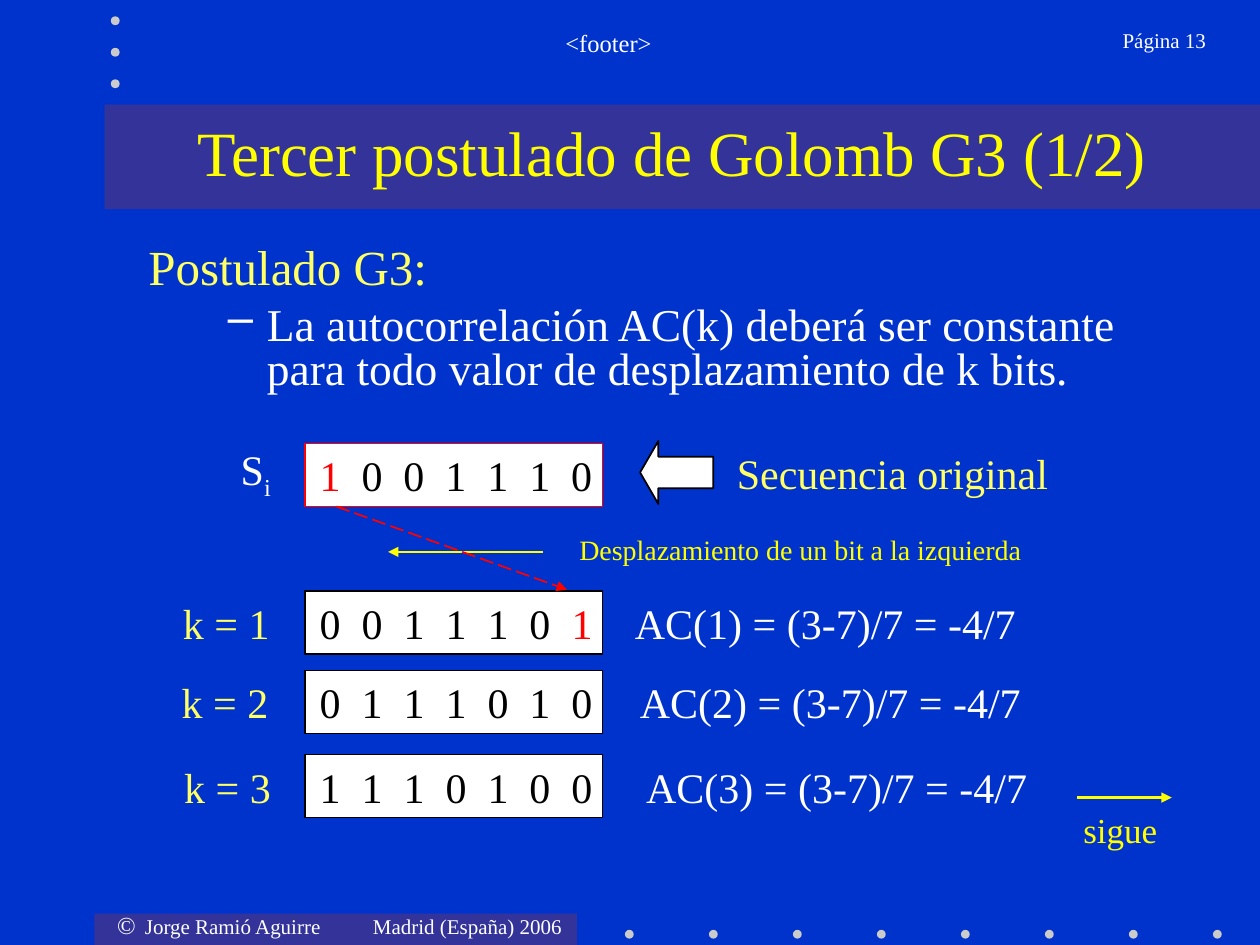
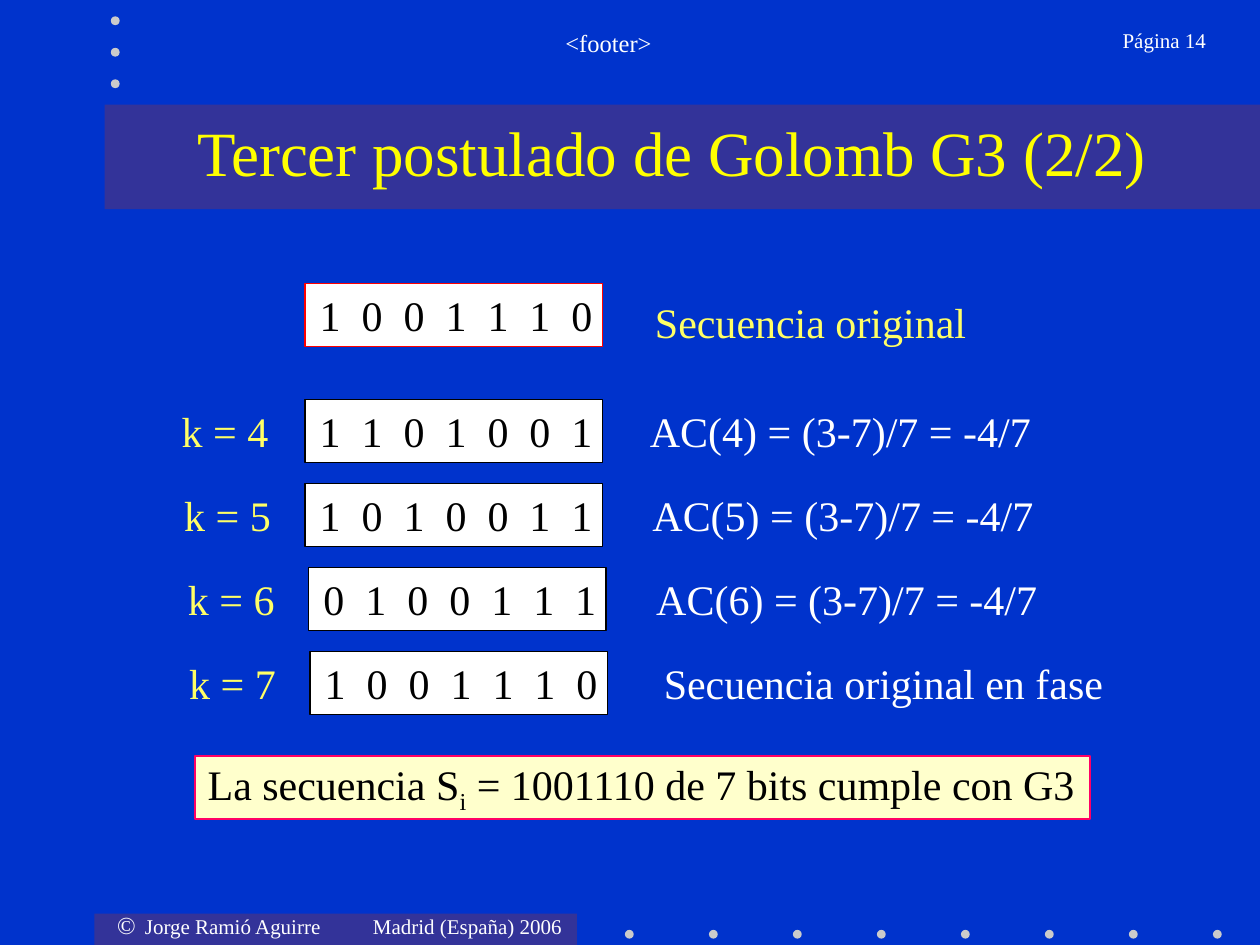
from lxml import etree
from pptx import Presentation
from pptx.dml.color import RGBColor
from pptx.enum import dml, shapes, text
from pptx.oxml import ns
from pptx.util import Inches, Pt

BLUE = RGBColor(0x00, 0x33, 0xCC)
INDIGO = RGBColor(0x33, 0x33, 0x99)
GRAY = RGBColor(0xCB, 0xCB, 0xCB)
WHITE = RGBColor(0xFF, 0xFF, 0xFF)
BLACK = RGBColor(0x00, 0x00, 0x00)
YELLOW = RGBColor(0xFF, 0xFF, 0x00)
LEMON = RGBColor(0xFF, 0xFF, 0x66)
CREAM = RGBColor(0xFF, 0xFF, 0xCC)
RED = RGBColor(0xFF, 0x00, 0x00)
PINK = RGBColor(0xFF, 0x00, 0x66)

FONT = "Times New Roman"
LEFT, CENTER, RIGHT = text.PP_ALIGN.LEFT, text.PP_ALIGN.CENTER, text.PP_ALIGN.RIGHT
TOP, MIDDLE = text.MSO_ANCHOR.TOP, text.MSO_ANCHOR.MIDDLE
RECT, OVAL = shapes.MSO_SHAPE.RECTANGLE, shapes.MSO_SHAPE.OVAL

SEQUENCE = "1001110"
ROW_HEIGHT = 0.5
BITS_WIDTH = 2.36


def add_xml(parent, tag, **attributes):
    return etree.SubElement(parent, ns.qn(tag), attributes)


class Deck:
    """Holds the common style and the slide being built."""

    def __init__(self):
        self.prs = Presentation()
        self.prs.slide_width, self.prs.slide_height = Inches(10), Inches(7.5)
        background = self.prs.slide_master.background.fill
        background.solid()
        background.fore_color.rgb = BLUE
        self.slide = None

    def new_slide(self, heading, page):
        layout = self.prs.slide_layouts.get_by_name("Title Only")
        self.slide = self.prs.slides.add_slide(layout)
        self.shape(RECT, 0.75, 7.25, 3.83, 0.25, INDIGO)
        self.shape(RECT, 0.83, 0.83, 9.17, 0.83, INDIGO)
        for i in range(8):
            self.dot(4.96 + i * 2 / 3, 7.38)
        for i in range(3):
            self.dot(0.88, 0.13 + i * 0.25)
        self.credit()
        self.label("<footer>", 1.58, 0.17, 6.5, 0.5, 14, WHITE, CENTER)
        self.label(f"Página {page}", 8.3, 0.17, 1.37, 0.5, 12, WHITE, RIGHT)

        title = self.slide.shapes.title
        title.left, title.top = Inches(0.83), Inches(0.83)
        title.width, title.height = Inches(9), Inches(0.75)
        self.set_text(title, [heading], 36, YELLOW, CENTER, MIDDLE)
        title.element.getparent().append(title.element)  # in front of its band

    def font(self, paragraph, size, color):
        paragraph.font.name = FONT
        paragraph.font.size = Pt(size)
        paragraph.font.color.rgb = color

    def set_text(self, shape, parts, size, color, align=LEFT, anchor=TOP, wrap=True):
        """Fill the first paragraph with parts and return its runs."""
        frame = shape.text_frame
        frame.auto_size = text.MSO_AUTO_SIZE.NONE
        frame.word_wrap = wrap
        frame.vertical_anchor = anchor
        paragraph = frame.paragraphs[0]
        paragraph.alignment = align
        self.font(paragraph, size, color)
        runs = [paragraph.add_run() for _ in parts]
        for run, part in zip(runs, parts):
            run.text = part
        return runs

    def shape(self, kind, x, y, w, h, fill, line=None, line_width=0.75):
        shape = self.slide.shapes.add_shape(kind, Inches(x), Inches(y), Inches(w), Inches(h))
        shape.shadow.inherit = False
        shape.fill.solid()
        shape.fill.fore_color.rgb = fill
        if line is None:
            shape.line.fill.background()
        else:
            shape.line.color.rgb = line
            shape.line.width = Pt(line_width)
        return shape

    def dot(self, x, y):
        self.shape(OVAL, x, y, 0.07, 0.07, GRAY)

    def box(self, x, y, w, h):
        return self.slide.shapes.add_textbox(Inches(x), Inches(y), Inches(w), Inches(h))

    def label(self, words, x, y, w, h, size, color, align=LEFT, anchor=TOP, wrap=True):
        self.set_text(self.box(x, y, w, h), [words], size, color, align, anchor, wrap)

    def credit(self):
        credit = self.box(0.72, 7.17, 3.95, 0.34)
        credit.text_frame.margin_left = Inches(0.21)
        properties = credit.text_frame.paragraphs[0]._p.get_or_add_pPr()
        tabs = add_xml(properties, "a:tabLst")
        for stop in (0.22, 2.03):
            add_xml(tabs, "a:tab", pos=str(Inches(stop)), algn="l")
        parts = ["©", "\tJorge Ramió Aguirre\tMadrid (España) 2006"]
        symbol, _ = self.set_text(credit, parts, 12, WHITE)
        symbol.font.size = Pt(14)

    def subscript(self, run):
        run._r.get_or_add_rPr().set("baseline", "-25000")

    def bits(self, x, y, bits, line=BLACK, red_bit=None):
        """Draw a framed bit sequence; red_bit is the index of a highlighted bit."""
        frame = self.shape(RECT, x, y, BITS_WIDTH, ROW_HEIGHT, WHITE, line)
        frame.text_frame.margin_left = Inches(0.14)  # balances the last bit's spacing
        spaced = " ".join(bits)
        parts = [spaced]
        if red_bit == 0:
            parts = [spaced[0], spaced[1:]]
        elif red_bit is not None:
            parts = [spaced[:2 * red_bit], spaced[2 * red_bit:]]
        runs = self.set_text(frame, parts, 24, BLACK, CENTER, MIDDLE, wrap=False)
        for run in runs:
            run._r.get_or_add_rPr().set("spc", "300")
        if red_bit is not None:
            runs[0 if red_bit == 0 else 1].font.color.rgb = RED

    def shift_row(self, k, y, label_x, bits_x, result_x, result=None, red_bit=None):
        """Draw the sequence rotated k bits to the left, with its autocorrelation."""
        self.label(f"k = {k}", label_x, y, 0.89, ROW_HEIGHT, 24, LEMON, CENTER, MIDDLE, False)
        self.bits(bits_x, y, SEQUENCE[k:] + SEQUENCE[:k], red_bit=red_bit)
        result = result or f"AC({k}) = (3-7)/7 = -4/7"
        self.label(result, result_x, y, 3.9, ROW_HEIGHT, 24, WHITE, LEFT, MIDDLE)

    def arrow(self, start, end, color, width, dash=None):
        arrow = self.slide.shapes.add_connector(
            shapes.MSO_CONNECTOR.STRAIGHT, *map(Inches, (*start, *end)))
        arrow.line.color.rgb = color
        arrow.line.width = Pt(width)
        if dash:
            arrow.line.dash_style = dash
        add_xml(arrow.line._get_or_add_ln(), "a:tailEnd", type="triangle")
        add_xml(arrow.element.spPr, "a:effectLst")

    def postulate(self, heading, statement):
        box = self.box(1.08, 1.92, 8.17, 1.33)
        self.set_text(box, [heading], 28, LEMON)
        first = box.text_frame.paragraphs[0]
        first.line_spacing = 0.8
        item = box.text_frame.add_paragraph()
        item.text = statement
        item.level = 1
        item.line_spacing = 0.8
        item.space_before = Pt(6.5)
        properties = item._p.get_or_add_pPr()
        properties.set("marL", str(Inches(0.94)))
        properties.set("indent", str(Inches(-0.31)))
        add_xml(properties, "a:buChar", char="–")
        self.font(item, 26, WHITE)


def build_first(deck):
    deck.new_slide("Tercer postulado de Golomb G3 (1/2)", 13)
    deck.postulate(
        "Postulado G3:",
        "La autocorrelación AC(k) deberá ser constante para todo valor de "
        "desplazamiento de k bits.")

    deck.bits(2.42, 3.52, SEQUENCE, RED, red_bit=0)
    sequence_name = deck.box(1.81, 3.47, 0.44, 0.56)
    _, index = deck.set_text(sequence_name, ["S", "i"], 24, WHITE, CENTER, MIDDLE, wrap=False)
    deck.subscript(index)
    pointer = deck.shape(shapes.MSO_SHAPE.LEFT_ARROW, 5.08, 3.5, 0.58, 0.5, WHITE, BLACK, 1)
    pointer.adjustments[1] = 0.29
    deck.label("Secuencia original", 5.75, 3.5, 2.9, 0.45, 24, LEMON)

    deck.shift_row(1, 4.69, 1.35, 2.42, 4.94, red_bit=6)
    deck.shift_row(2, 5.32, 1.34, 2.42, 4.98)
    deck.shift_row(3, 5.99, 1.36, 2.42, 5.03)

    deck.arrow((4.31, 4.38), (3.08, 4.38), YELLOW, 1.5)
    deck.label("Desplazamiento de un bit a la izquierda", 4.5, 4.18, 4, 0.32, 16, YELLOW)
    deck.label("sigue", 8.5, 6.37, 1.04, 0.39, 20, YELLOW)
    deck.arrow((8.55, 6.33), (9.3, 6.33), YELLOW, 1.5)
    deck.arrow((2.67, 4.02), (4.5, 4.68), RED, 1, dml.MSO_LINE.LONG_DASH)


def build_second(deck):
    deck.new_slide("Tercer postulado de Golomb G3 (2/2)", 14)
    deck.bits(2.42, 2.25, SEQUENCE, RED)
    deck.label("Secuencia original", 5.1, 2.3, 2.9, 0.45, 24, LEMON)

    rows = [
        (4, 1.34, 2.42, 5.06, None),
        (5, 1.36, 2.42, 5.08, None),
        (6, 1.39, 2.45, 5.11, None),
        (7, 1.40, 2.46, 5.17, "Secuencia original en fase"),
    ]
    for i, (k, label_x, bits_x, result_x, result) in enumerate(rows):
        deck.shift_row(k, 3.17 + i * 2 / 3, label_x, bits_x, result_x, result)

    conclusion = deck.shape(RECT, 1.55, 6, 7.1, 0.5, CREAM, PINK, 1)
    conclusion.text_frame.margin_top = conclusion.text_frame.margin_bottom = Inches(0.08)
    parts = ["La secuencia S", "i", " = 1001110 de 7 bits cumple con G3"]
    _, index, _ = deck.set_text(conclusion, parts, 24, BLACK, wrap=False)
    deck.subscript(index)
    conclusion.text_frame.paragraphs[0].line_spacing = 0.75


def main():
    deck = Deck()
    build_first(deck)
    build_second(deck)
    deck.prs.save("out.pptx")


if __name__ == "__main__":
    main()
